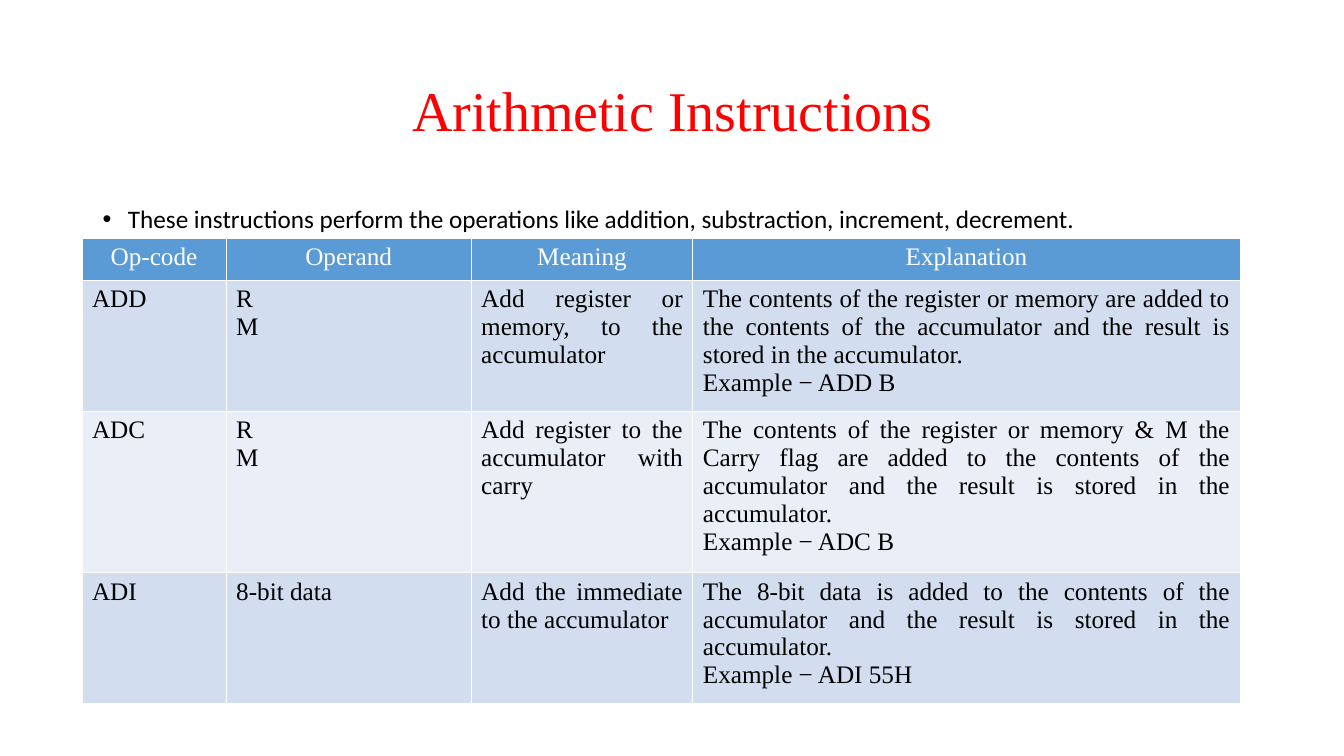
from dataclasses import dataclass

from lxml.etree import SubElement
from pptx import Presentation
from pptx.dml.color import RGBColor
from pptx.enum.text import MSO_ANCHOR, MSO_AUTO_SIZE, PP_ALIGN
from pptx.oxml.ns import qn
from pptx.util import Inches, Pt

WIDE, HIGH = Inches(13.33), Inches(7.5)
SERIF, SANS = "Times New Roman", "Calibri"
BLACK, WHITE, RED, BLUE = "000000", "FFFFFF", "FF0000", "5B9BD5"
BANDS = ("D2DEEF", "EAEFF7")
COLS = (10.73, 18.23, 16.5, 40.73)


@dataclass(frozen=True)
class Box:
    """A place on the slide, in percent of its width and height."""
    left: float
    top: float
    width: float
    height: float

    def place(self) -> tuple[int, int, int, int]:
        """Return left, top, width and height as slide lengths."""
        return across(self.left), down(self.top), across(self.width), down(self.height)


@dataclass(frozen=True)
class Style:
    """The look of a run and its paragraph."""
    font: str
    size: int
    color: str
    align: PP_ALIGN
    space: float = 1.0


@dataclass(frozen=True)
class Row:
    """A table row: its height in percent and the lines of each cell."""
    height: float
    cells: tuple[tuple[str, ...], ...]


TITLE = Style(SERIF, 40, RED, PP_ALIGN.CENTER, 0.9)
POINT = Style(SANS, 18, BLACK, PP_ALIGN.LEFT, 0.9)
HEAD = Style(SERIF, 18, WHITE, PP_ALIGN.CENTER)
BODY = Style(SERIF, 18, BLACK, PP_ALIGN.JUSTIFY)

ROWS = (
    Row(5.6, (("Op-code",), ("Operand",), ("Meaning",), ("Explanation",))),
    Row(16.13, (
        ("ADD",), ("R", "M"),
        ("Add register or memory, to the accumulator",),
        ("The contents of the register or memory are added to the contents of "
         "the accumulator and the result is stored in the accumulator.",
         "Example − ADD B"))),
    Row(19.87, (
        ("ADC",), ("R", "M"),
        ("Add register to the accumulator with carry",),
        ("The contents of the register or memory & M the Carry flag are added to the "
         "contents of the accumulator and the result is stored in the accumulator.",
         "Example − ADC B"))),
    Row(16.13, (
        ("ADI",), ("8-bit data",),
        ("Add the immediate to the accumulator",),
        ("The 8-bit data is added to the contents of the accumulator and the "
         "result is stored in the accumulator.",
         "Example − ADI 55H"))),
)


def across(share: float) -> int:
    """Turn a percentage of the slide's width into a length."""
    return round(WIDE * share / 100)


def down(share: float) -> int:
    """Turn a percentage of the slide's height into a length."""
    return round(HIGH * share / 100)


def tint(code: str) -> RGBColor:
    """Turn a hex string into a colour."""
    return RGBColor.from_string(code)


def write(frame, lines: tuple[str, ...], style: Style) -> None:
    """Fill a text frame with one styled paragraph per line."""
    frame.word_wrap = True
    for spot, line in enumerate(lines):
        para = frame.add_paragraph() if spot else frame.paragraphs[0]
        para.alignment = style.align
        para.line_spacing = style.space
        run = para.add_run()
        run.text = line
        font = run.font
        font.name, font.size, font.bold = style.font, Pt(style.size), False
        font.color.rgb = tint(style.color)


def bullet(para) -> None:
    """Give a paragraph a hanging round bullet."""
    props = para._p.get_or_add_pPr()
    props.set("marL", str(Inches(0.25)))
    props.set("indent", str(-Inches(0.25)))
    SubElement(props, qn("a:buFont"), typeface="Arial")
    SubElement(props, qn("a:buChar"), char="•")


def edge(cell) -> None:
    """Draw a thin white border round a cell."""
    props = cell._tc.get_or_add_tcPr()
    for spot, side in enumerate(("lnL", "lnR", "lnT", "lnB")):
        line = props.makeelement(qn(f"a:{side}"), {"w": str(Pt(1))})
        fill = SubElement(line, qn("a:solidFill"))
        SubElement(fill, qn("a:srgbClr"), val=WHITE)
        props.insert(spot, line)


def draw_title(slide, box: Box) -> None:
    """Place and format the title."""
    title = slide.shapes.title
    title.left, title.top, title.width, title.height = box.place()
    frame = title.text_frame
    frame.auto_size = MSO_AUTO_SIZE.NONE
    frame.vertical_anchor = MSO_ANCHOR.MIDDLE
    write(frame, ("Arithmetic Instructions",), TITLE)


def draw_point(slide, box: Box) -> None:
    """Add the bulleted sentence above the table."""
    frame = slide.shapes.add_textbox(*box.place()).text_frame
    write(frame, ("These instructions perform the operations like addition, "
                  "substraction, increment, decrement.",), POINT)
    para = frame.paragraphs[0]
    para.space_before = Pt(10)
    bullet(para)


def draw_table(slide, left: float, top: float) -> None:
    """Add the table of instructions."""
    box = Box(left, top, sum(COLS), sum(row.height for row in ROWS))
    table = slide.shapes.add_table(len(ROWS), len(COLS), *box.place()).table
    for col, share in zip(table.columns, COLS):
        col.width = across(share)
    for spot, row in enumerate(ROWS):
        table.rows[spot].height = down(row.height)
        shade = BANDS[(spot - 1) % 2] if spot else BLUE
        for cell, lines in zip(table.rows[spot].cells, row.cells):
            cell.fill.solid()
            cell.fill.fore_color.rgb = tint(shade)
            edge(cell)
            write(cell.text_frame, lines, BODY if spot else HEAD)


def main() -> None:
    """Build the slide and save it."""
    deck = Presentation()
    deck.slide_width, deck.slide_height = WIDE, HIGH
    slide = deck.slides.add_slide(deck.slide_layouts.get_by_name("Title Only"))
    draw_title(slide, Box(6.9, 5.33, 86.25, 19.33))
    draw_point(slide, Box(6.9, 26.67, 86.25, 70))
    draw_table(slide, 6.1, 31.47)
    deck.save("out.pptx")


if __name__ == "__main__":
    main()
